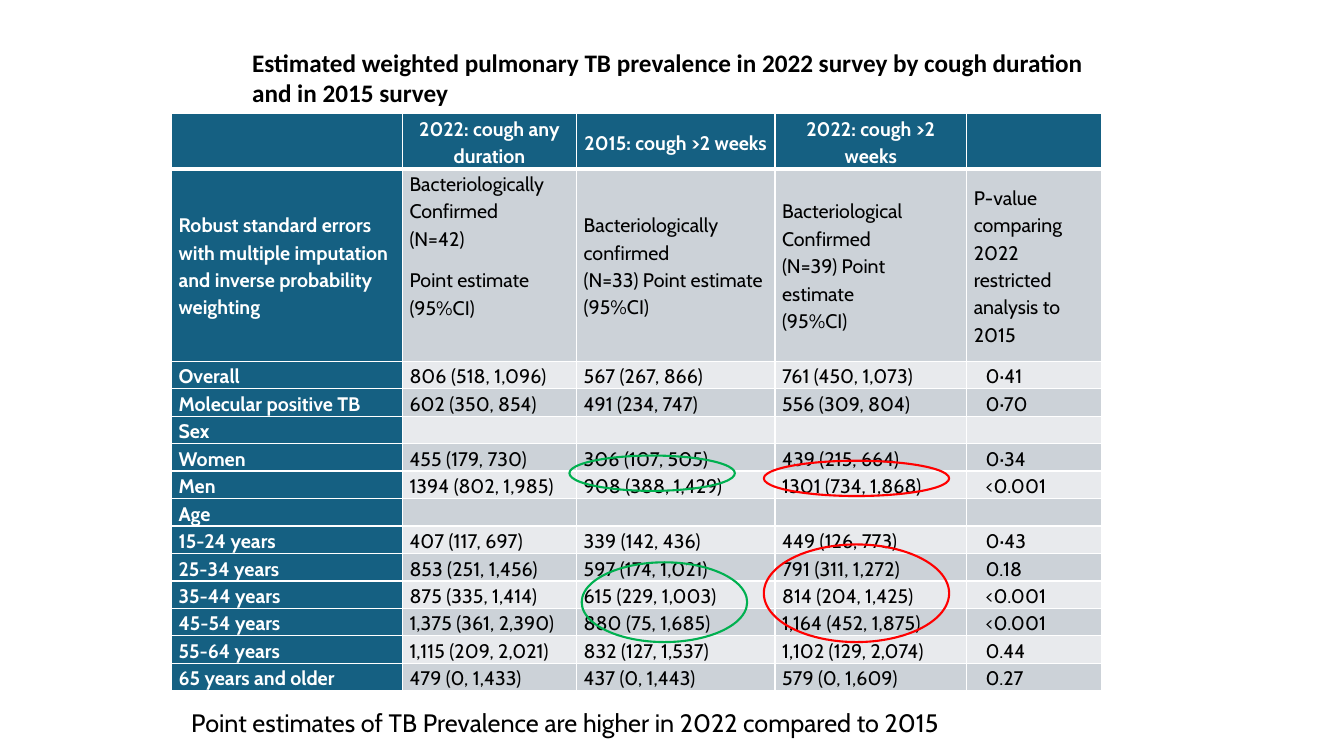
from dataclasses import dataclass

from lxml.etree import SubElement
from pptx import Presentation
from pptx.dml.color import RGBColor
from pptx.enum.shapes import MSO_SHAPE
from pptx.enum.text import MSO_ANCHOR, MSO_AUTO_SIZE, PP_ALIGN
from pptx.oxml.ns import qn
from pptx.util import Cm, Pt


@dataclass(frozen=True)
class Theme:
    header: str = "156082"
    dark_band: str = "CCD2D8"
    light_band: str = "E8EAED"
    white: str = "FFFFFF"
    black: str = "000000"
    red: str = "FF0000"
    green: str = "00B050"
    title_font: str = "Calibri"
    body_font: str = "Cabin"
    large: int = 18
    table: int = 14


@dataclass(frozen=True)
class Box:
    """A region of the slide, in centimetres."""
    left: float
    top: float
    width: float
    height: float

    def inside(self, parent):
        return Box(parent.left + self.left, parent.top + self.top, self.width, self.height)

    def lengths(self):
        return Cm(self.left), Cm(self.top), Cm(self.width), Cm(self.height)


THEME = Theme()
TITLE_BOX = Box(6.1, 1.07, 21.67, 1.8)
TABLE_BOX = Box(4.32, 2.87, 23.44, 14.31)
CAPTION_BOX = Box(4.57, 17.7, 19.66, 1.02)

COLUMN_WIDTHS = [5.82, 4.39, 5, 4.83, 3.4]
HEADER_HEIGHT, GROUP_HEIGHT, ROW_HEIGHT = 1.36, 4.79, 0.68
P_VALUE_INDENT = 0.3

# Paragraphs are parted by "|", line breaks by "\n".
ROWS = [
    ["", "2022: cough any duration", "2015: cough >2 weeks", "2022: cough >2 weeks", ""],
    ["Robust standard errors with multiple imputation and inverse probability weighting",
     "Bacteriologically Confirmed\n(N=42)|Point estimate\n(95%CI)",
     "Bacteriologically confirmed\n(N=33) Point estimate\n(95%CI)",
     "Bacteriological Confirmed\n(N=39) Point estimate\n(95%CI)",
     "P-value comparing 2022 restricted analysis to 2015"],
    ["Overall", "806 (518, 1,096)", "567 (267, 866)", "761 (450, 1,073)", "0·41"],
    ["Molecular positive TB", "602 (350, 854)", "491 (234, 747)", "556 (309, 804)", "0·70"],
    ["Sex", "", "", "", ""],
    ["Women", "455 (179, 730)", "306 (107, 505)", "439 (215, 664)", "0·34"],
    ["Men", "1394 (802, 1,985)", "908 (388, 1,429)", "1301 (734, 1,868)", "<0.001"],
    ["Age", "", "", "", ""],
    ["15-24 years", "407 (117, 697)", "339 (142, 436)", "449 (126, 773)", "0·43"],
    ["25-34 years", "853 (251, 1,456)", "597 (174, 1,021)", "791 (311, 1,272)", "0.18"],
    ["35-44 years", "875 (335, 1,414)", "615 (229, 1,003)", "814 (204, 1,425)", "<0.001"],
    ["45-54 years", "1,375 (361, 2,390)", "880 (75, 1,685)", "1,164 (452, 1,875)", "<0.001"],
    ["55-64 years", "1,115 (209, 2,021)", "832 (127, 1,537)", "1,102 (129, 2,074)", "0.44"],
    ["65 years and older", "479 (0, 1,433)", "437 (0, 1,443)", "579 (0, 1,609)", "0.27"],
]

# Highlights are measured from the corner of the table.
HIGHLIGHTS = [
    (Box(14.93, 8.74, 4.67, 0.89), THEME.red),
    (Box(14.93, 10.85, 4.67, 2.46), THEME.red),
    (Box(10.03, 8.61, 4.17, 0.89), THEME.green),
    (Box(10.34, 11.3, 4.17, 2.01), THEME.green),
]


def write(paragraph, text, *, size, font, color=THEME.black, bold=False,
          align=PP_ALIGN.LEFT, line_spacing=None, space_after=0):
    paragraph.text = text
    paragraph.alignment = align
    paragraph.space_after = Pt(space_after)
    if line_spacing:
        paragraph.line_spacing = line_spacing
    for run in paragraph.runs:
        run.font.size = Pt(size)
        run.font.name = font
        run.font.bold = bold
        run.font.color.rgb = RGBColor.from_string(color)


def size_breaks(paragraph, size):
    """Give line breaks and the paragraph end the text size, so rows stay low."""
    element = paragraph._p
    for line_break in element.findall(qn("a:br")):
        SubElement(line_break, qn("a:rPr"), sz=str(size * 100))
    SubElement(element, qn("a:endParaRPr"), sz=str(size * 100))


def add_borders(cell, color, **widths):
    properties = cell._tc.get_or_add_tcPr()
    for side in "LRTB":
        line = SubElement(properties, qn(f"a:ln{side}"), w=str(Pt(widths.get(side, 1))))
        fill = SubElement(line, qn("a:solidFill"))
        SubElement(fill, qn("a:srgbClr"), val=color)


def fill_cell(cell, text, row, column):
    heading = row == 0 or column == 0
    cell.vertical_anchor = MSO_ANCHOR.MIDDLE
    cell.margin_left = cell.margin_right = Cm(0.18)
    cell.margin_top = cell.margin_bottom = 0
    add_borders(cell, THEME.white, T=3 if row == 1 else 1, B=3 if row == 0 else 1)
    band = THEME.dark_band if row % 2 else THEME.light_band
    cell.fill.solid()
    cell.fill.fore_color.rgb = RGBColor.from_string(THEME.header if heading else band)

    frame = cell.text_frame
    for index, part in enumerate(text.split("|")):
        paragraph = frame.add_paragraph() if index else frame.paragraphs[0]
        write(paragraph, part, size=THEME.table, font=THEME.body_font,
              color=THEME.white if heading else THEME.black, bold=heading,
              align=PP_ALIGN.LEFT if row else PP_ALIGN.CENTER,
              line_spacing=1.15, space_after=10)
        size_breaks(paragraph, THEME.table)
        if row > 1 and column == len(COLUMN_WIDTHS) - 1:
            paragraph._p.get_or_add_pPr().set("indent", str(Cm(P_VALUE_INDENT)))


def add_prevalence_table(slide, box):
    table = slide.shapes.add_table(len(ROWS), len(COLUMN_WIDTHS), *box.lengths()).table
    for column, width in zip(table.columns, COLUMN_WIDTHS):
        column.width = Cm(width)
    for index, row in enumerate(table.rows):
        row.height = Cm({0: HEADER_HEIGHT, 1: GROUP_HEIGHT}.get(index, ROW_HEIGHT))
        for column, text in enumerate(ROWS[index]):
            fill_cell(table.cell(index, column), text, index, column)
    table.cell(1, 1).margin_bottom = Cm(1.04)


def add_highlights(slide, box):
    for offset, color in HIGHLIGHTS:
        ellipse = slide.shapes.add_shape(MSO_SHAPE.OVAL, *offset.inside(box).lengths())
        ellipse.shadow.inherit = False
        ellipse.fill.background()
        ellipse.line.color.rgb = RGBColor.from_string(color)
        ellipse.line.width = Pt(1.5)


def add_title(slide, box):
    title = slide.shapes.title
    title.left, title.top, title.width, title.height = box.lengths()
    frame = title.text_frame
    frame.word_wrap = True
    frame.auto_size = MSO_AUTO_SIZE.NONE
    frame.vertical_anchor = MSO_ANCHOR.TOP
    write(frame.paragraphs[0],
          "Estimated weighted pulmonary TB prevalence in 2022 survey by cough duration "
          "and in 2015 survey",
          size=THEME.large, font=THEME.title_font, bold=True)


def add_caption(slide, box):
    frame = slide.shapes.add_textbox(*box.lengths()).text_frame
    frame.word_wrap = False
    write(frame.paragraphs[0],
          "Point estimates of TB Prevalence are higher in 2022 compared to 2015",
          size=THEME.large, font=THEME.body_font)


def main():
    presentation = Presentation()
    presentation.slide_width, presentation.slide_height = Cm(33.87), Cm(19.05)
    slide = presentation.slides.add_slide(presentation.slide_layouts[5])
    add_title(slide, TITLE_BOX)
    add_prevalence_table(slide, TABLE_BOX)
    add_highlights(slide, TABLE_BOX)
    add_caption(slide, CAPTION_BOX)
    presentation.save("out.pptx")


if __name__ == "__main__":
    main()
